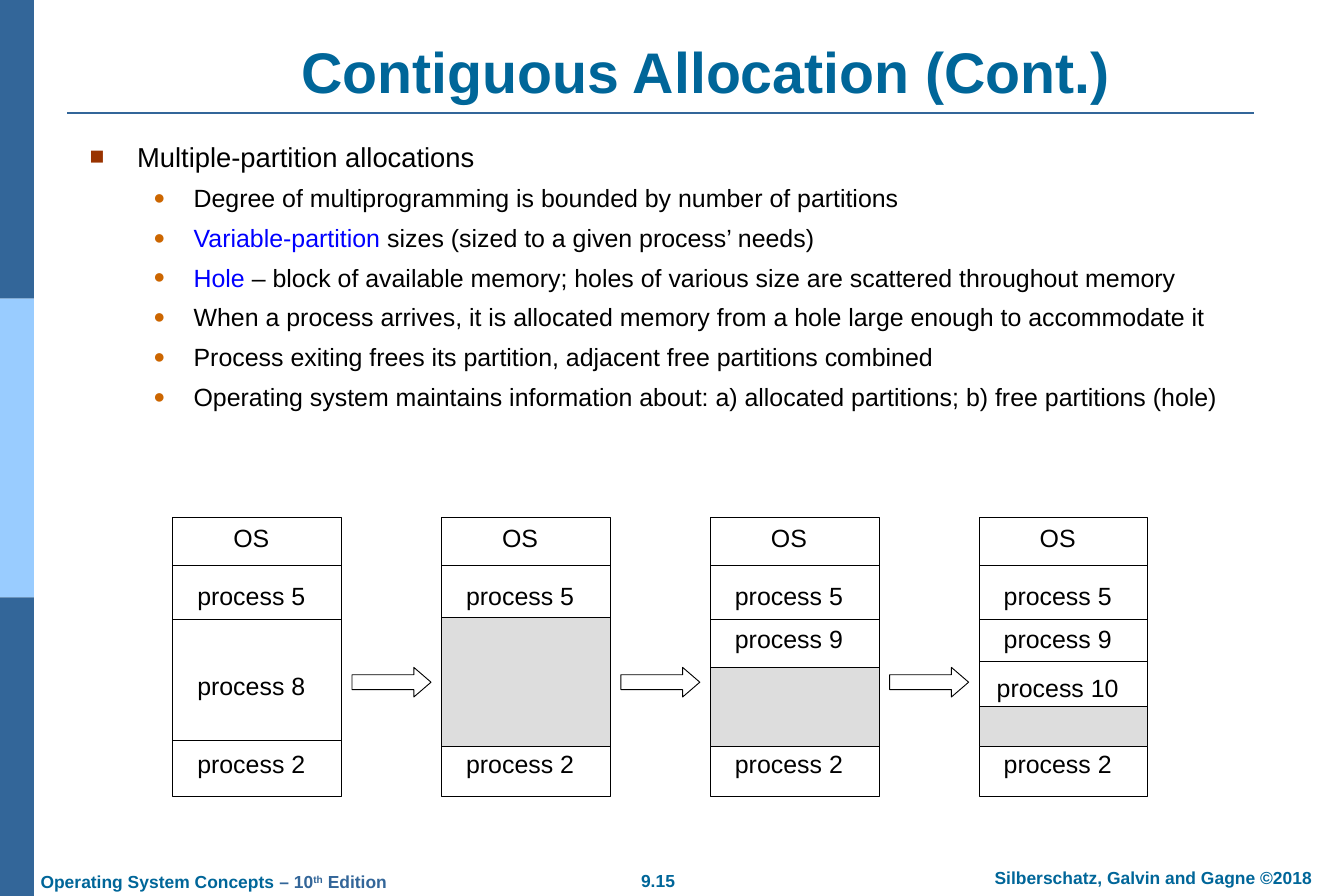
from dataclasses import dataclass

import pptx
import pptx.dml.color
import pptx.enum.shapes
import pptx.enum.text
import pptx.oxml.ns
import pptx.util
from lxml import etree

Cm, Pt = pptx.util.Cm, pptx.util.Pt
RGBColor = pptx.dml.color.RGBColor
MSO_SHAPE = pptx.enum.shapes.MSO_SHAPE
PP_ALIGN = pptx.enum.text.PP_ALIGN
MSO_ANCHOR = pptx.enum.text.MSO_ANCHOR
qn = pptx.oxml.ns.qn

TEAL = RGBColor(0x00, 0x66, 0x99)
STEEL = RGBColor(0x33, 0x66, 0x99)
SKY = RGBColor(0x99, 0xCC, 0xFF)
BLACK = RGBColor(0x00, 0x00, 0x00)
WHITE = RGBColor(0xFF, 0xFF, 0xFF)
GREY = RGBColor(0xDD, 0xDD, 0xDD)
BLUE = RGBColor(0x00, 0x00, 0xFF)
RUST = RGBColor(0x99, 0x33, 0x00)
ORANGE = RGBColor(0xCC, 0x66, 0x00)
FONT = "Arial"


@dataclass
class Run:
    text: str
    color: RGBColor = BLACK
    superscript: bool = False


@dataclass
class BulletStyle:
    char: str
    color: RGBColor
    percent: int
    level: int
    indent: float
    hanging: float
    size: int


@dataclass
class Label:
    text: str
    top: float


@dataclass
class Memory:
    """One memory snapshot: divider heights, labels and the hole (top, height)."""
    dividers: list[float]
    labels: list[Label]
    hole: tuple[float, float] | None = None


SQUARE = BulletStyle("■", RUST, 90, 0, 1.35, 1.35, 22)
DOT = BulletStyle("●", ORANGE, 80, 1, 2.95, 1.14, 20)

BULLETS: list[tuple[BulletStyle, list[Run]]] = [
    (SQUARE, [Run("Multiple-partition allocations")]),
    (DOT, [Run("Degree of multiprogramming is bounded by number of partitions")]),
    (DOT, [Run("Variable-partition ", BLUE), Run("sizes (sized to a given process’ needs)")]),
    (DOT, [Run("Hole", BLUE),
           Run(" – block of available memory; holes of various size are scattered throughout memory")]),
    (DOT, [Run("When a process arrives, it is allocated memory from a hole large enough to accommodate it")]),
    (DOT, [Run("Process exiting frees its partition, adjacent free partitions combined")]),
    (DOT, [Run("Operating system maintains information about: "
               "a) allocated partitions; b) free partitions (hole)")]),
]

COLUMN_LEFT, COLUMN_PITCH, COLUMN_WIDTH = 4.9, 7.62, 4.78
COLUMN_TOP, COLUMN_HEIGHT = 14.68, 7.9
LABEL_WIDTH, LABEL_HEIGHT = 4.45, 1.22
OS_END, PROCESS_5_END = 16.03, 17.55
COMMON = [Label("OS", 14.63), Label("process 5", 16.28), Label("process 2", 21.03)]
PROCESS_9 = Label("process 9", 17.48)

MEMORIES = [
    Memory([OS_END, PROCESS_5_END, 21.0], COMMON + [Label("process 8", 18.82)]),
    Memory([OS_END], COMMON, (17.5, 3.67)),
    Memory([OS_END, PROCESS_5_END], COMMON + [PROCESS_9], (18.92, 2.25)),
    Memory([OS_END, PROCESS_5_END, 18.75],
           COMMON + [PROCESS_9, Label("process 10", 18.87)], (20.04, 1.13)),
]


def add_run(p, run: Run, size: float, bold: bool = False) -> None:
    r = p.add_run()
    r.text = run.text
    r.font.name, r.font.size, r.font.bold = FONT, Pt(size), bold
    r.font.color.rgb = run.color
    if run.superscript:
        r._r.get_or_add_rPr().set("baseline", "30000")


def format_frame(tf, anchor, wrap: bool = True) -> None:
    tf.word_wrap = wrap
    tf.auto_size = pptx.enum.text.MSO_AUTO_SIZE.NONE
    tf.vertical_anchor = anchor
    tf.margin_left = tf.margin_right = Cm(0.36)
    tf.margin_top = tf.margin_bottom = Cm(0.18)


def add_text(s, box: tuple[float, ...], runs: list[Run], size: float, bold: bool = False,
             align=PP_ALIGN.CENTER, anchor=MSO_ANCHOR.TOP, wrap: bool = True) -> None:
    tf = s.shapes.add_textbox(*map(Cm, box)).text_frame
    format_frame(tf, anchor, wrap)
    p = tf.paragraphs[0]
    p.alignment = align
    for run in runs:
        add_run(p, run, size, bold)


def add_block(s, kind, box: tuple[float, ...], fill: RGBColor, outlined: bool = True):
    sp = s.shapes.add_shape(kind, *map(Cm, box))
    sp.shadow.inherit = False
    sp.fill.solid()
    sp.fill.fore_color.rgb = fill
    if outlined:
        sp.line.color.rgb, sp.line.width = BLACK, Pt(0.75)
    else:
        sp.line.fill.background()
    return sp


def add_rule(s, left: float, right: float, y: float, color: RGBColor = BLACK,
             width: float = 0.75) -> None:
    line = s.shapes.add_connector(pptx.enum.shapes.MSO_CONNECTOR.STRAIGHT,
                                  Cm(left), Cm(y), Cm(right), Cm(y))
    line.line.color.rgb, line.line.width = color, Pt(width)
    etree.SubElement(line._element.spPr, qn("a:effectLst"))


def set_bullet(p, style: BulletStyle) -> None:
    p.level = style.level
    pPr = p._p.get_or_add_pPr()
    pPr.set("marL", str(Cm(style.indent)))
    pPr.set("indent", str(-Cm(style.hanging)))
    color = etree.SubElement(pPr, qn("a:buClr"))
    etree.SubElement(color, qn("a:srgbClr"), val=str(style.color))
    etree.SubElement(pPr, qn("a:buSzPct"), val=str(style.percent * 1000))
    etree.SubElement(pPr, qn("a:buFont"), typeface=FONT)
    etree.SubElement(pPr, qn("a:buChar"), char=style.char)


def add_frame(s) -> None:
    """Side stripe, title rule and footer."""
    stripe = 25.4 / 3
    for i, color in enumerate([STEEL, SKY, STEEL]):
        add_block(s, MSO_SHAPE.RECTANGLE, (0, i * stripe, 0.96, stripe), color, outlined=False)
    add_rule(s, 1.91, 35.56, 3.2, STEEL, 1.5)
    add_text(s, (17.78, 24.49, 1.75, 0.97), [Run("9.15", TEAL)], 14, True, wrap=False)
    add_text(s, (27.35, 24.41, 10.7, 0.97),
             [Run("Silberschatz, Galvin and Gagne ©2018", TEAL)], 14, True)
    add_text(s, (0.79, 24.51, 10.64, 0.97),
             [Run("Operating System Concepts", TEAL), Run(" – 10", STEEL),
              Run("th", STEEL, True), Run(" Edition", STEEL)],
             14, True, PP_ALIGN.LEFT, wrap=False)


def add_title(s) -> None:
    title = s.shapes.title
    title.left, title.top, title.width, title.height = map(Cm, (3.81, 1.02, 32.39, 2.13))
    tf = title.text_frame
    format_frame(tf, MSO_ANCHOR.BOTTOM)
    tf.paragraphs[0].alignment = PP_ALIGN.CENTER
    add_run(tf.paragraphs[0], Run("Contiguous Allocation (Cont.)", TEAL), 46, True)


def add_bullets(s) -> None:
    tf = s.shapes.add_textbox(*map(Cm, (2.18, 3.78, 32.72, 8.79))).text_frame
    format_frame(tf, MSO_ANCHOR.TOP)
    for i, (style, runs) in enumerate(BULLETS):
        p = tf.add_paragraph() if i else tf.paragraphs[0]
        set_bullet(p, style)
        if i:
            p.space_before = Pt(8)
        for run in runs:
            add_run(p, run, style.size)


def add_memory(s, memory: Memory, left: float) -> None:
    add_block(s, MSO_SHAPE.RECTANGLE, (left, COLUMN_TOP, COLUMN_WIDTH, COLUMN_HEIGHT), WHITE)
    for y in memory.dividers:
        add_rule(s, left, left + COLUMN_WIDTH, y)
    if memory.hole:
        top, height = memory.hole
        add_block(s, MSO_SHAPE.RECTANGLE, (left, top, COLUMN_WIDTH, height), GREY)
    for label in memory.labels:
        add_text(s, (left, label.top, LABEL_WIDTH, LABEL_HEIGHT), [Run(label.text)], 20,
                 anchor=MSO_ANCHOR.MIDDLE)


def main() -> None:
    prs = pptx.Presentation()
    prs.slide_width, prs.slide_height = Cm(38.1), Cm(25.4)
    s = prs.slides.add_slide(prs.slide_layouts[5])
    add_frame(s)
    add_title(s)
    add_bullets(s)
    for i, memory in enumerate(MEMORIES):
        left = COLUMN_LEFT + i * COLUMN_PITCH
        add_memory(s, memory, left)
        if i < len(MEMORIES) - 1:
            arrow = add_block(s, MSO_SHAPE.RIGHT_ARROW, (left + 5.08, 18.92, 2.24, 0.84), WHITE)
            arrow.adjustments[1] = 0.58
    prs.save("out.pptx")


if __name__ == "__main__":
    main()
